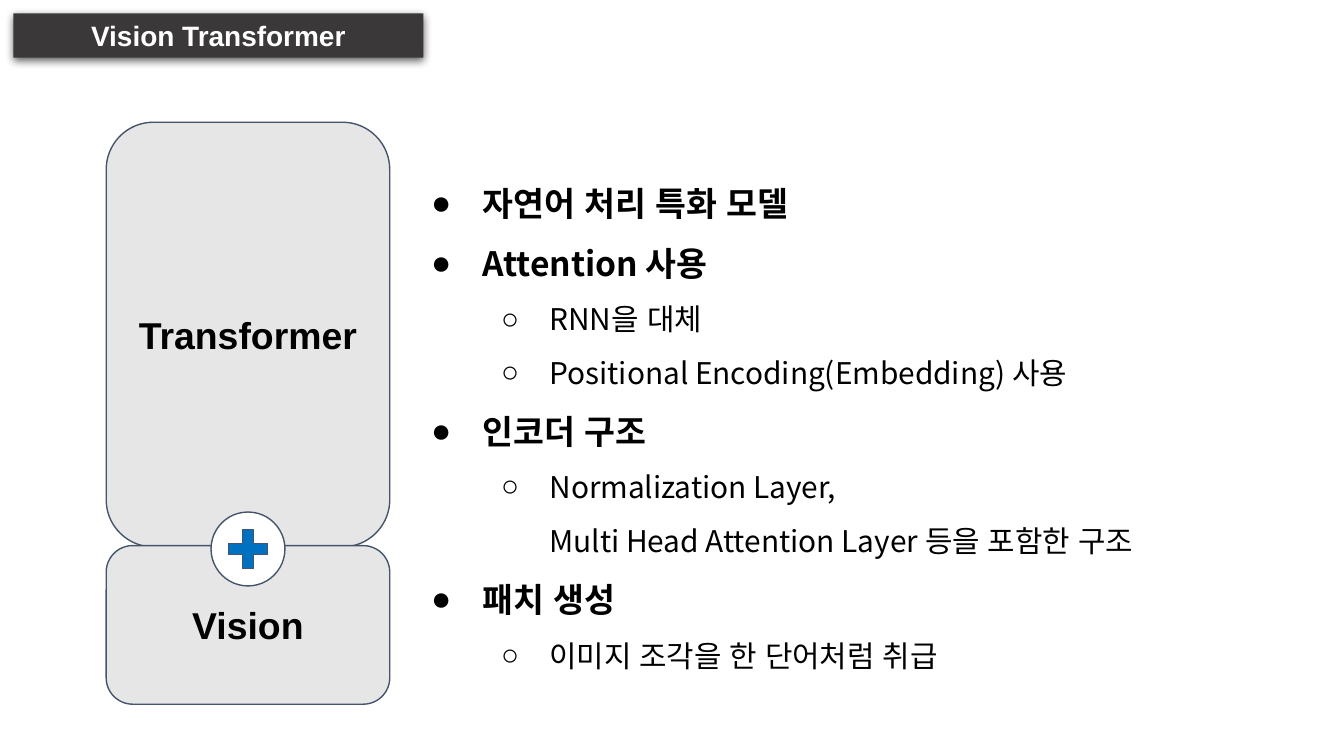
"""Build the Vision Transformer overview slide."""
import dataclasses

import lxml.etree
import pptx
import pptx.dml.color
import pptx.enum.shapes
import pptx.enum.text
import pptx.oxml
import pptx.oxml.ns
import pptx.util

Inches = pptx.util.Inches
Pt = pptx.util.Pt
Color = pptx.dml.color.RGBColor.from_string
Shape = pptx.enum.shapes.MSO_SHAPE
Anchor = pptx.enum.text.MSO_ANCHOR
qn = pptx.oxml.ns.qn


@dataclasses.dataclass(frozen=True)
class Theme:
    label_font: str = "Arial"
    body_font: str = "Noto Sans CJK KR"
    black: str = "000000"
    white: str = "FFFFFF"
    banner: str = "3A3838"
    block: str = "E7E6E6"
    outline: str = "44546A"
    plus: str = "0070C0"
    title_size: float = 15
    label_size: float = 20
    topic_size: float = 18
    detail_size: float = 16
    topic_pitch: float = 32.3
    detail_pitch: float = 28.8


theme = Theme()


def add_span(para, text, font, size, color, bold):
    span = para.add_run()
    span.text = text
    span.font.name = font
    span.font.size = Pt(size)
    span.font.bold = bold
    span.font.color.rgb = Color(color)
    east_asian = lxml.etree.SubElement(span.font._element, qn("a:ea"))
    east_asian.set("typeface", theme.label_font)


def add_block(page, kind, left, top, width, height, fill, outline=None):
    block = page.shapes.add_shape(
        kind, Inches(left), Inches(top), Inches(width), Inches(height))
    block.shadow.inherit = False
    block.fill.solid()
    block.fill.fore_color.rgb = Color(fill)
    if outline:
        block.line.color.rgb = Color(outline)
        block.line.width = Pt(0.75)
    else:
        block.line.fill.background()
    return block


deck = pptx.Presentation()
deck.slide_width = Inches(10)
deck.slide_height = Inches(10) * 9 // 16
page = deck.slides.add_slide(deck.slide_layouts[6])

banner = add_block(page, Shape.RECTANGLE, 0.1, 0.1, 3.05, 0.33, theme.banner)
effects = banner._element.spPr.find(qn("a:effectLst"))
shadow = lxml.etree.SubElement(
    effects, qn("a:outerShdw"), blurRad=str(Pt(4.5)), dist=str(Pt(1.5)),
    dir="5400000", algn="t", rotWithShape="0")
shadow_color = lxml.etree.SubElement(shadow, qn("a:srgbClr"), val=theme.black)
lxml.etree.SubElement(shadow_color, qn("a:alpha"), val="63000")

transformer = add_block(
    page, Shape.ROUNDED_RECTANGLE, 0.79, 0.91, 2.11, 3.16, theme.block, theme.outline)
vision = add_block(
    page, Shape.ROUNDED_RECTANGLE, 0.79, 4.06, 2.11, 1.18, theme.block, theme.outline)
add_block(page, Shape.OVAL, 1.57, 3.81, 0.55, 0.55, theme.white, theme.outline)
plus = add_block(
    page, Shape.MATH_PLUS, 1.65, 3.89, 0.39, 0.39, theme.plus, theme.outline)
plus.adjustments[0] = 0.2

labels = [
    (banner, "Vision Transformer", theme.title_size, theme.white, Anchor.TOP, 0.07, 0.04),
    (transformer, "Transformer", theme.label_size, theme.black, Anchor.MIDDLE, 0.1, 0.1),
    (vision, "Vision", theme.label_size, theme.black, Anchor.MIDDLE, 0.1, 0.1),
]
for block, text, size, color, anchor, side, edge in labels:
    frame = block.text_frame
    frame.vertical_anchor = anchor
    frame.margin_left = frame.margin_right = Inches(side)
    frame.margin_top = frame.margin_bottom = Inches(edge)
    para = frame.paragraphs[0]
    para.alignment = pptx.enum.text.PP_ALIGN.CENTER
    add_span(para, text, theme.label_font, size, color, True)

outlines = [
    (1.11, 3.05, [
        ("●", "자연어 처리 특화 모델"),
        ("●", "Attention 사용"),
        ("○", "RNN을 대체"),
        ("○", "Positional Encoding(Embedding) 사용"),
        ("●", "인코더 구조"),
        ("○", "Normalization Layer,"),
        ("", "Multi Head Attention Layer 등을 포함한 구조"),
    ]),
    (4.06, 1.33, [
        ("●", "패치 생성"),
        ("○", "이미지 조각을 한 단어처럼 취급"),
    ]),
]
hanging = {"●": -0.38, "○": -0.36, "": 0}
for top, height, lines in outlines:
    box = page.shapes.add_textbox(Inches(2.99), Inches(top), Inches(6.99), Inches(height))
    frame = box.text_frame
    frame.word_wrap = True
    frame.margin_left = frame.margin_right = Inches(0.1)
    frame.margin_top = frame.margin_bottom = Inches(0.1)
    for index, (bullet, text) in enumerate(lines):
        para = frame.add_paragraph() if index else frame.paragraphs[0]
        topic = bullet == "●"
        para.level = 1 if bullet == "○" else 0
        para.line_spacing = Pt(theme.topic_pitch if topic else theme.detail_pitch)
        settings = para._p.get_or_add_pPr()
        settings.set("marL", str(Inches(0.5 if topic else 1)))
        settings.set("indent", str(Inches(hanging[bullet])))
        if bullet:
            bullet_color = lxml.etree.SubElement(settings, qn("a:buClr"))
            lxml.etree.SubElement(bullet_color, qn("a:srgbClr"), val=theme.black)
            lxml.etree.SubElement(settings, qn("a:buFont"), typeface=theme.label_font)
            lxml.etree.SubElement(settings, qn("a:buChar"), char=bullet)
        else:
            lxml.etree.SubElement(settings, qn("a:buNone"))
        size = theme.topic_size if topic else theme.detail_size
        add_span(para, text, theme.body_font, size, theme.black, topic)

deck.save("out.pptx")
